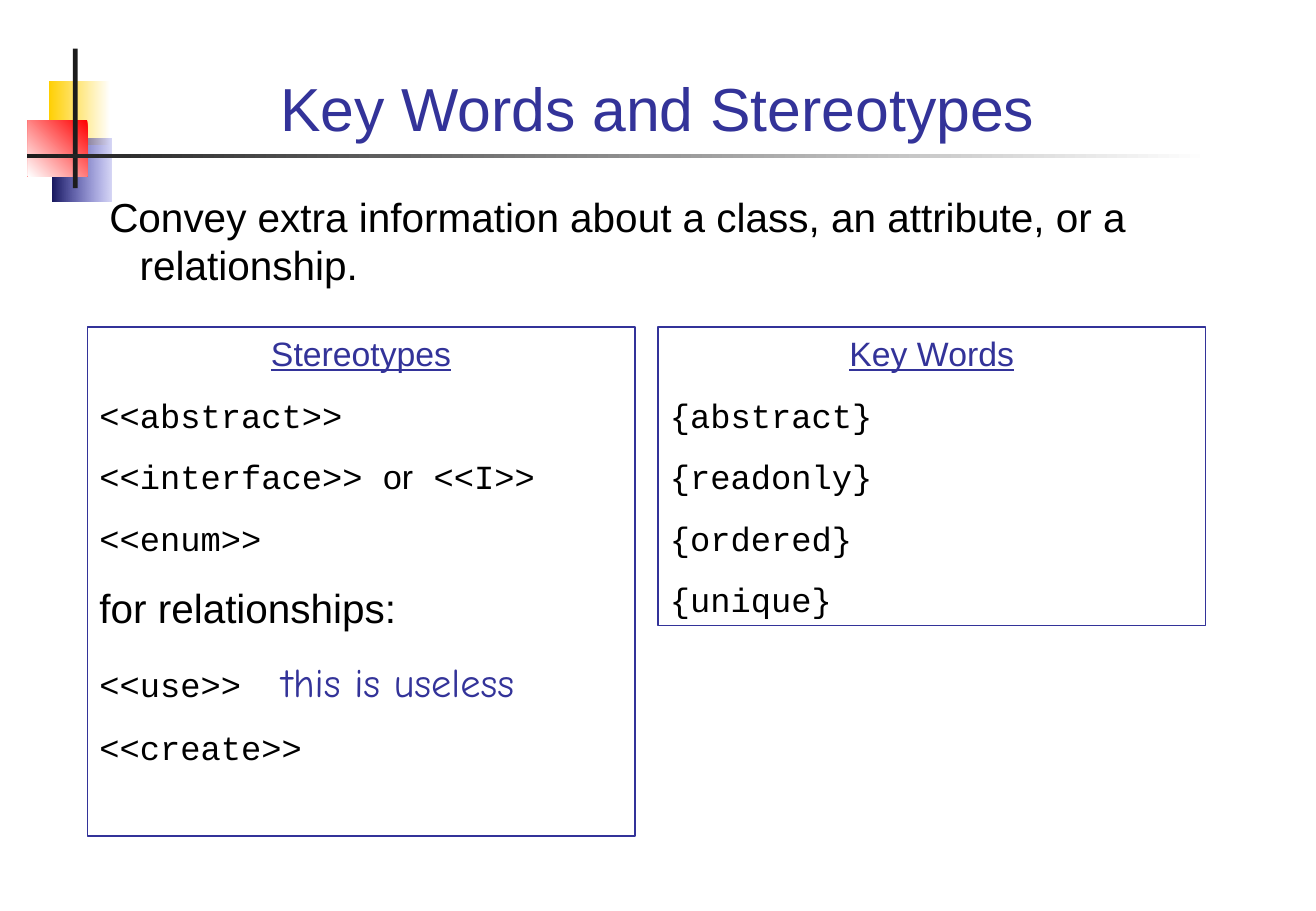
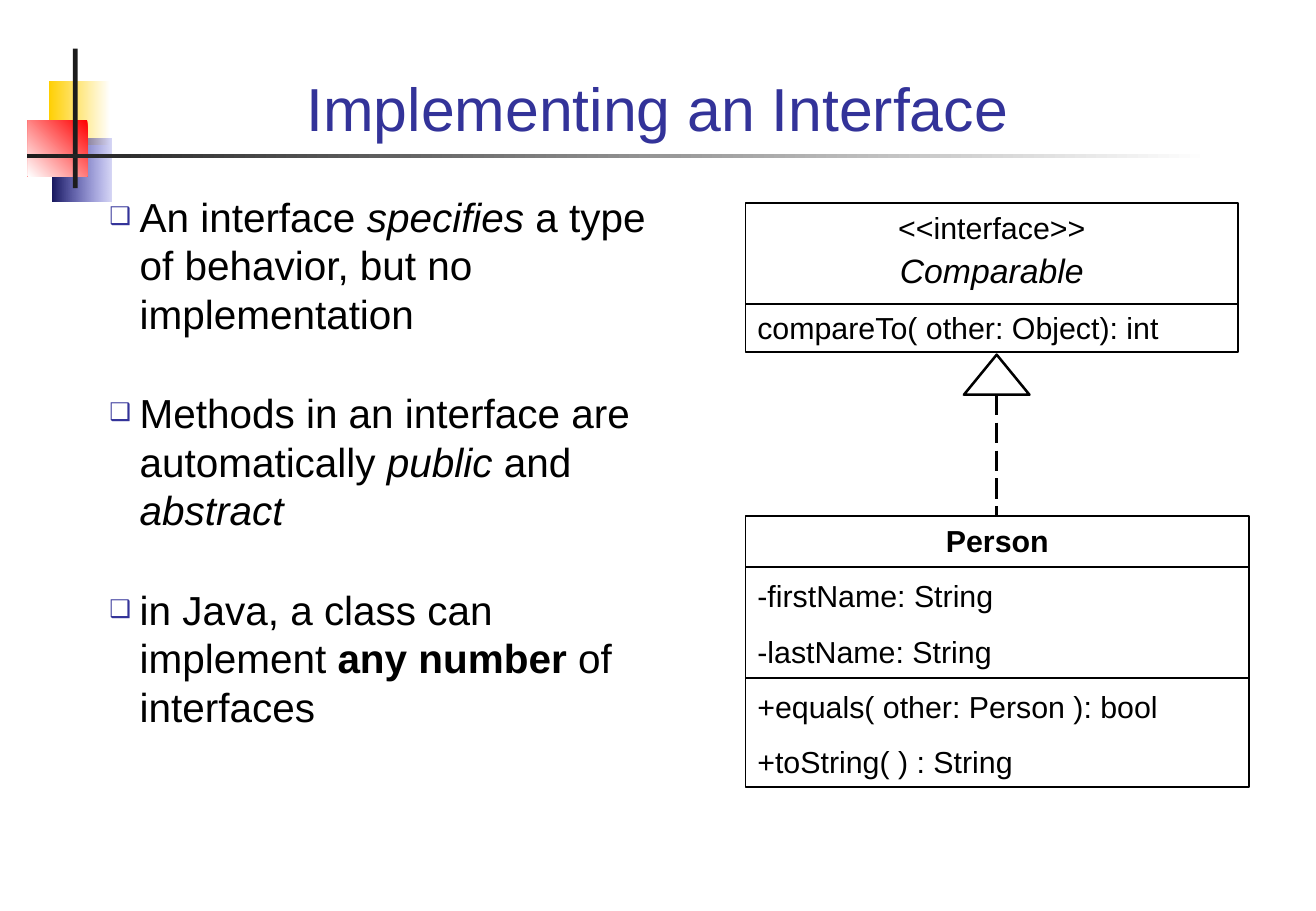
from lxml.etree import SubElement as Sub
from pptx import Presentation
from pptx.dml.color import RGBColor as Rgb
from pptx.enum.dml import MSO_LINE as Dash
from pptx.enum.shapes import MSO_CONNECTOR as Link, MSO_SHAPE as Kind
from pptx.enum.text import MSO_ANCHOR as Anchor, MSO_AUTO_SIZE as Fit, PP_ALIGN as Align
from pptx.oxml.ns import qn
from pptx.util import Inches, Pt

HUES = {
    "black": "000000",
    "white": "FFFFFF",
    "navy": "333399",
    "gold": "FFCF01",
    "blue": "3333CC",
    "deep": "17175E",
    "red": "FF0000",
    "ink": "1C1C1C",
}
SANS, MONO, HAND = "Arial", "Courier New", "Comic Neue"
LEAD = 1.2


def hue(name):
    return Rgb.from_string(HUES[name])


def style(font, size=None, face=None, color=None, **flags):
    if size:
        font.size = Pt(size)
    if face:
        font.name = face
    if color:
        font.color.rgb = hue(color)
    for key, value in flags.items():
        setattr(font, key, value)


def place(shape, area):
    shape.left, shape.top, shape.width, shape.height = map(Inches, area)


def mark(props, sign):
    if not sign:
        Sub(props, qn("a:buNone"))
        return
    tint = Sub(props, qn("a:buClr"))
    Sub(tint, qn("a:srgbClr"), val=HUES["navy"])
    Sub(props, qn("a:buSzPct"), val="60000")
    Sub(props, qn("a:buChar"), char=sign)


def write(frame, runs, size, gap=0, align=Align.LEFT, face=SANS,
          color="black", sign=None, hang=0, tab=None, **flags):
    fresh = not frame.text
    para = frame.paragraphs[0] if fresh else frame.add_paragraph()
    para.alignment = align
    para.line_spacing = Pt(LEAD * size)
    para.space_before = Pt(0 if fresh else gap)
    props = para._p.get_or_add_pPr()
    props.set("marL", str(Inches(hang)))
    props.set("indent", str(-Inches(hang)))
    mark(props, sign)
    if tab:
        stops = Sub(props, qn("a:tabLst"))
        Sub(stops, qn("a:tab"), pos=str(Inches(tab)), algn="l")
    style(para.font, size, face, color, **flags)
    for text, look in [(runs, {})] if isinstance(runs, str) else runs:
        run = para.add_run()
        run.text = text
        style(run.font, **look)


def shape(slide, kind, area, fill=None, line=None, width=1):
    item = slide.shapes.add_shape(kind, *map(Inches, area))
    item.shadow.inherit = False
    if fill:
        item.fill.solid()
        item.fill.fore_color.rgb = hue(fill)
    else:
        item.fill.background()
    if line:
        item.line.color.rgb = hue(line)
        item.line.width = Pt(width)
    else:
        item.line.fill.background()
    return item


def panel(slide, area, line):
    frame = shape(slide, Kind.RECTANGLE, area, line=line).text_frame
    frame.word_wrap = True
    frame.vertical_anchor = Anchor.TOP
    return frame


def rule(slide, start, end, width=1, dash=None):
    ends = map(Inches, start + end)
    item = slide.shapes.add_connector(Link.STRAIGHT, *ends)
    item.line.color.rgb = hue("black")
    item.line.width = Pt(width)
    if dash:
        item.line.dash_style = dash
    Sub(item.element.spPr, qn("a:effectLst"))


def blend(item, first, last, angle=180, alpha=None):
    item.fill.gradient()
    item.fill.gradient_angle = angle
    for stop, name in zip(item.fill.gradient_stops, (first, last)):
        stop.color.rgb = hue(name)
    if alpha:
        tint = item.element.spPr.find(".//" + qn("a:srgbClr"))
        Sub(tint, qn("a:alpha"), val=str(alpha * 1000))


def adorn(slide, master):
    areas = [
        (0.4, 0.67, 0.51, 0.52),
        (0.43, 1.14, 0.49, 0.52),
        (0.23, 0.99, 0.49, 0.46),
        (0.6, 0.4, 0.04, 1.15),
        (0.22, 1.27, 9.75, 0.03),
    ]
    items = [shape(slide, Kind.RECTANGLE, area, "ink") for area in areas]
    gold, blue, red, _, bar = items
    blend(gold, "white", "gold")
    blend(blue, "blue", "deep", alpha=20)
    blend(red, "red", "white", angle=225)
    blend(bar, "white", "ink")
    for spot, item in enumerate(items):
        item.element.nvSpPr.cNvPr.id = 20 + spot
        master.shapes.element.insert(2 + spot, item.element)


def page(deck, title, area):
    slide = deck.slides.add_slide(deck.slide_layouts[1])
    head, body = slide.placeholders
    place(head, (0.72, 0.28, 9.39, 0.95))
    place(body, area)
    for item in (head, body):
        item.text_frame.auto_size = Fit.NONE
        item.text_frame.word_wrap = True
    head.text_frame.vertical_anchor = Anchor.BOTTOM
    body.text_frame.vertical_anchor = Anchor.TOP
    write(head.text_frame, title, 36, align=Align.CENTER, color="navy")
    return slide, body.text_frame


def words(slide, area, title, lines):
    frame = panel(slide, area, "navy")
    write(frame, title, 20, align=Align.CENTER, color="navy", underline=True)
    for runs, look in lines:
        write(frame, runs, **{"size": 20, "gap": 12.5, "face": MONO, **look})


def entity(slide, area, heads, lines, cuts):
    frame = panel(slide, area, "black")
    for text, look in heads:
        write(frame, text, align=Align.CENTER, **look)
    for text in lines:
        write(frame, text, 18, 11.2)
    left, _, width, _ = area
    for cut in cuts:
        rule(slide, (left, cut), (left + width, cut))


def terms(deck):
    slide, body = page(deck, "Key Words and Stereotypes", (0.8, 1.53, 9.39, 1.05))
    write(body, "Convey extra information about a class, an attribute, or a relationship.",
          24, hang=0.25)
    either = [("<<interface>> ", {}), ("or", {"face": SANS}), (" <<I>>", {})]
    usage = [("<<use>>\t", {"size": 20}),
             ("this is useless", {"face": HAND, "color": "navy"})]
    words(slide, (0.72, 2.69, 4.51, 4.19), "Stereotypes", [
        ("<<abstract>>", {}),
        (either, {}),
        ("<<enum>>", {}),
        ("for relationships:", {"size": 24, "gap": 15, "face": SANS}),
        (usage, {"size": 24, "gap": 15, "tab": 1.83}),
        ("<<create>>", {}),
    ])
    names = ("abstract", "readonly", "ordered", "unique")
    words(slide, (5.42, 2.69, 4.51, 2.46), "Key Words",
          [("{" + name + "}", {}) for name in names])
    return slide


def methods(deck):
    slide, body = page(deck, "Implementing an Interface", (0.8, 1.53, 4.62, 4.88))
    slant, bold = {"italic": True}, {"bold": True}
    points = [
        [("An interface ", {}), ("specifies", slant),
         (" a type of behavior, but no implementation", {})],
        [("Methods in an interface are automatically ", {}), ("public", slant),
         (" and ", {}), ("abstract", slant)],
        [("in Java, a class can implement ", {}), ("any number", bold),
         (" of interfaces", {})],
    ]
    for runs in points:
        write(body, runs, 24, 30, sign="❑", hang=0.25)
    entity(slide, (6.14, 1.67, 4.06, 1.23),
           [("<<interface>>", {"size": 18}),
            ("Comparable", {"size": 20, "gap": 2.5, "italic": True})],
           ["compareTo( other: Object): int"], [2.5])
    entity(slide, (6.14, 4.25, 4.15, 2.23),
           [("Person", {"size": 18, "bold": True})],
           ["-firstName: String", "-lastName: String",
            "+equals( other: Person ): bool", "+toString( ) : String"],
           [4.67, 5.58])
    shape(slide, Kind.ISOSCELES_TRIANGLE, (7.94, 2.92, 0.54, 0.33),
          "white", "black", 1.5)
    rule(slide, (8.21, 3.25), (8.21, 4.25), 1.5, Dash.LONG_DASH)


def main():
    deck = Presentation()
    deck.slide_width, deck.slide_height = Inches(10.84), Inches(7.5)
    adorn(terms(deck), deck.slide_master)
    methods(deck)
    deck.save("out.pptx")


if __name__ == "__main__":
    main()
